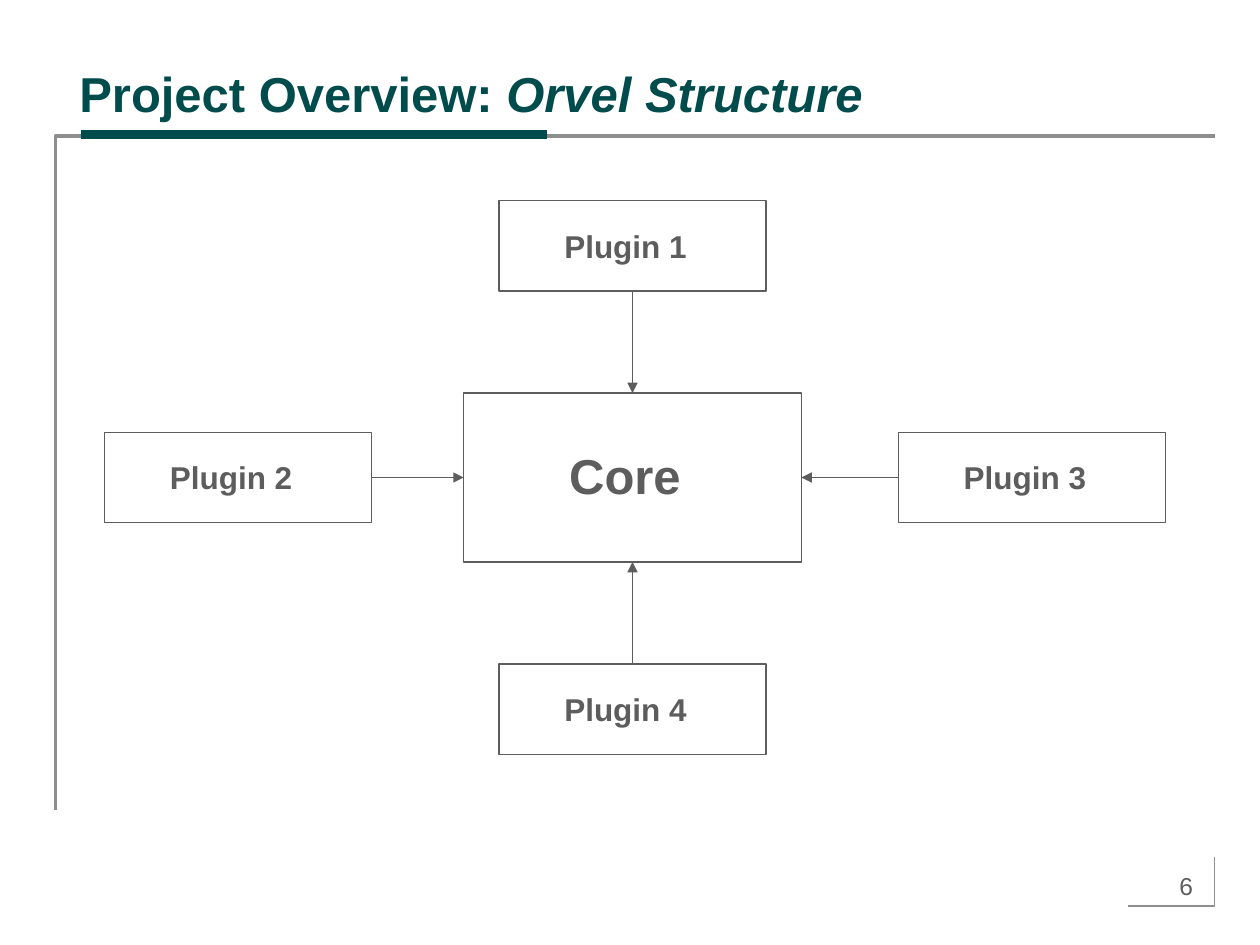
"""Build the plugin structure slide."""
from lxml.etree import SubElement
from pptx import Presentation
from pptx.dml.color import RGBColor
from pptx.enum.shapes import MSO_CONNECTOR, MSO_SHAPE
from pptx.enum.text import MSO_ANCHOR, PP_ALIGN
from pptx.oxml.ns import qn
from pptx.util import Inches, Pt

HUES = {"teal": "004C4C", "gray": "8E8E8E", "dark": "5D5D5D"}


def stroke(item, hue, size):
    item.line.color.rgb = RGBColor.from_string(HUES[hue])
    item.line.width = Pt(size)
    if hasattr(item, "begin_x"):
        SubElement(item.element.spPr, qn("a:effectLst"))
    else:
        item.shadow.inherit = False
        item.fill.background()


def write(owner, area, runs, hue, face, frame, para):
    box = owner.add_textbox(*map(Inches, area))
    text = box.text_frame
    line = text.paragraphs[0]
    for target, values in ((text, frame), (line, para)):
        for key, value in values.items():
            setattr(target, key, value)
    for words, slant in runs:
        run = line.add_run()
        run.text = words
        run.font.color.rgb = RGBColor.from_string(HUES[hue])
        for key, value in {"name": "Arial", "italic": slant, **face}.items():
            setattr(run.font, key, value)


deck = Presentation()
deck.slide_width, deck.slide_height = Inches(10), Inches(7.5)
shapes = deck.slides.add_slide(deck.slide_layouts[6]).shapes

borders = [
    ([(0.44, 6.43), (0.44, 1.08), (9.64, 1.08)], 2),
    ([(9.64, 6.8), (9.64, 7.19), (8.95, 7.19)], 0.75),
]
for points, size in borders:
    start, *rest = [(Inches(x), Inches(y)) for x, y in points]
    pen = shapes.build_freeform(*start)
    pen.add_line_segments(rest, close=False)
    stroke(pen.convert_to_shape(), "gray", size)

bar = shapes.add_connector(
    MSO_CONNECTOR.STRAIGHT, Inches(0.64), Inches(1.07), Inches(4.34), Inches(1.07))
stroke(bar, "teal", 5)

write(shapes, (0.63, 0.36, 9.01, 0.67),
      [("Project Overview: ", False), ("Orvel Structure", True)], "teal",
      {"size": Pt(28), "bold": True},
      {"word_wrap": True, "vertical_anchor": MSO_ANCHOR.BOTTOM, "margin_left": 0},
      {"line_spacing": 0.9})
write(shapes, (8.85, 6.86, 1.13, 0.34), [("6", False)], "dark",
      {"size": Pt(14)},
      {"word_wrap": False, "vertical_anchor": MSO_ANCHOR.MIDDLE,
       "margin_left": Inches(0.12), "margin_right": Inches(0.12)},
      {"alignment": PP_ALIGN.CENTER, "space_before": Pt(8.8)})

big = {"size": (2.68, 1.34), "text": (0.68, 0.27, 1.32, 0.66), "font": 28}
small = {"size": (2.12, 0.72), "text": (0.33, 0.1, 1.47, 0.46), "font": 18}
nodes = [
    ("Core", 3.68, 3.12, big),
    ("Plugin 1", 3.96, 1.59, small),
    ("Plugin 2", 0.83, 3.43, small),
    ("Plugin 3", 7.13, 3.43, small),
    ("Plugin 4", 3.96, 5.27, small),
]
boxes = {}
for name, left, top, kind in nodes:
    group = shapes.add_group_shape().shapes
    box = group.add_shape(
        MSO_SHAPE.RECTANGLE, *map(Inches, (left, top, *kind["size"])))
    stroke(box, "dark", 0.75)
    boxes[name] = box
    dx, dy, width, height = kind["text"]
    size = kind["font"]
    write(group, (left + dx, top + dy, width, height), [(name, False)], "dark",
          {"size": Pt(size), "bold": True},
          {"word_wrap": True, "margin_left": 0, "margin_right": Inches(0.12)},
          {"alignment": PP_ALIGN.CENTER, "line_spacing": 1.2,
           "space_before": Pt(size * 0.625), "space_after": Pt(size * 0.25)})

TOP, LEFT, BASE, RIGHT = range(4)
links = [
    ("Plugin 2", RIGHT, LEFT),
    ("Plugin 1", BASE, TOP),
    ("Plugin 4", TOP, BASE),
    ("Plugin 3", LEFT, RIGHT),
]
for name, side, goal in links:
    arrow = shapes.add_connector(MSO_CONNECTOR.STRAIGHT, 0, 0, 0, 0)
    arrow.begin_connect(boxes[name], side)
    arrow.end_connect(boxes["Core"], goal)
    stroke(arrow, "dark", 0.75)
    SubElement(arrow.element.spPr.find(qn("a:ln")), qn("a:tailEnd"), type="triangle")

deck.save("out.pptx")
